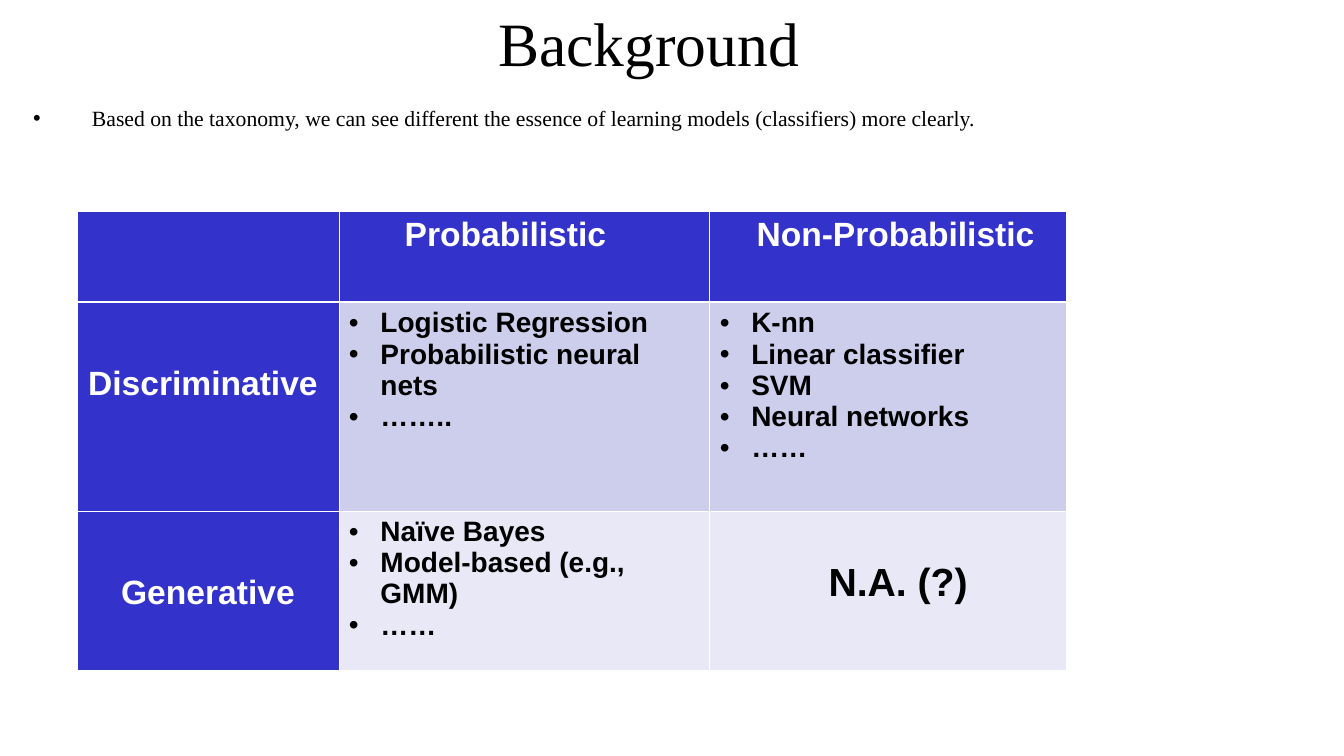
import pptx
import pptx.util
import pptx.dml.color
import pptx.enum.text
import pptx.oxml
import pptx.oxml.ns

Pt = pptx.util.Pt
ALIGN = pptx.enum.text.PP_ALIGN
TOP = pptx.enum.text.MSO_ANCHOR.TOP
FIXED = pptx.enum.text.MSO_AUTO_SIZE.NONE
BLUE, WHITE, BLACK = "3333CC", "FFFFFF", "000000"
MID, PALE = "CDCDEC", "E8E8F6"
WIDTHS = [187.2, 265, 254.5]
HEIGHTS = [65, 149, 113.6]
THIN, THICK = 0.45, 1.47


def color(code):
    return pptx.dml.color.RGBColor.from_string(code)


def element(tag, **attrs):
    node = pptx.oxml.parse_xml(f"<a:{tag} {pptx.oxml.ns.nsdecls('a')}/>")
    for key, value in attrs.items():
        node.set(key, str(value))
    return node


def write(frame, text, size, font="Arial", ink=BLACK, bold=False,
          align=ALIGN.LEFT, indent=0, spacing=1.0):
    frame.word_wrap = True
    frame.text = text
    for para in frame.paragraphs:
        para.alignment = align
        para.line_spacing = spacing
        para.space_before = Pt(0)
        para.font.size = Pt(size)
        for run in para.runs:
            run.font.size = Pt(size)
            run.font.name = font
            run.font.bold = bold
            run.font.color.rgb = color(ink)
        if indent:
            props = para._p.get_or_add_pPr()
            props.set("marL", str(Pt(indent)))
            props.set("indent", str(-Pt(indent)))
            props.append(element("buFont", typeface="Arial"))
            props.append(element("buChar", char="•"))


def place(shape, left, top, width, height):
    shape.left, shape.top = Pt(left), Pt(top)
    shape.width, shape.height = Pt(width), Pt(height)
    frame = shape.text_frame
    frame.auto_size = FIXED
    frame.vertical_anchor = TOP
    return frame


def heading(slide, *box):
    frame = place(slide.shapes.title, *box)
    frame.margin_right = Pt(40)
    write(frame, "Background", 44, font="Times New Roman", align=ALIGN.CENTER)


def remark(slide, *box):
    frame = place(slide.placeholders[1], *box)
    write(frame, "Based on the taxonomy, we can see different the essence of "
          "learning models (classifiers) more clearly.", 15.5,
          font="Times New Roman", align=ALIGN.JUSTIFY, indent=42, spacing=0.9)


def border(cell, row):
    props = cell._tc.get_or_add_tcPr()
    top = THICK if row == 1 else THIN
    bottom = THICK if row == 0 else THIN
    for tag, width in (("lnL", THIN), ("lnR", THIN), ("lnT", top), ("lnB", bottom)):
        line = element(tag, w=Pt(width))
        fill = element("solidFill")
        fill.append(element("srgbClr", val=WHITE))
        line.append(fill)
        props.append(line)


def matrix(slide, left, top):
    table = slide.shapes.add_table(
        len(HEIGHTS), len(WIDTHS), Pt(left), Pt(top),
        Pt(sum(WIDTHS)), Pt(sum(HEIGHTS))).table
    table.first_row = table.horz_banding = False
    for column, width in zip(table.columns, WIDTHS):
        column.width = Pt(width)
    for row, height in zip(table.rows, HEIGHTS):
        row.height = Pt(height)

    head = dict(size=24, ink=WHITE, bold=True)
    side = dict(head, align=ALIGN.CENTER)
    items = dict(size=20, bold=True, indent=22.5)
    cells = [
        [("", head, 7.2, 3.6),
         ("Probabilistic", head, 47, 3.6),
         ("Non-Probabilistic", head, 33.5, 3.6)],
        [("Discriminative", side, 0, 45),
         ("Logistic Regression\nProbabilistic neural nets\n……..", items, 7.2, 3.6),
         ("K-nn\nLinear classifier\nSVM\nNeural networks\n……", items, 7.2, 3.6)],
        [("Generative", side, 7.2, 45),
         ("Naïve Bayes\nModel-based (e.g., GMM)\n……", items, 7.2, 3.6),
         ("N.A. (?)", dict(size=28, bold=True), 85, 35.8)],
    ]
    fills = [BLUE, MID, PALE]
    for r, row in enumerate(cells):
        for c, (text, style, inset, drop) in enumerate(row):
            cell = table.cell(r, c)
            cell.margin_left, cell.margin_top = Pt(inset), Pt(drop)
            cell.margin_right = Pt(7.2)
            cell.vertical_anchor = TOP
            border(cell, r)
            cell.fill.solid()
            cell.fill.fore_color.rgb = color(BLUE if c == 0 else fills[r])
            write(cell.text_frame, text, **style)


def main():
    deck = pptx.Presentation()
    deck.slide_width, deck.slide_height = Pt(960.5), Pt(540)
    slide = deck.slides.add_slide(deck.slide_layouts[1])
    heading(slide, 120, 0, 720, 99.5)
    remark(slide, 16.5, 73.5, 717, 51)
    matrix(slide, 55, 151)
    deck.save("out.pptx")


if __name__ == "__main__":
    main()
